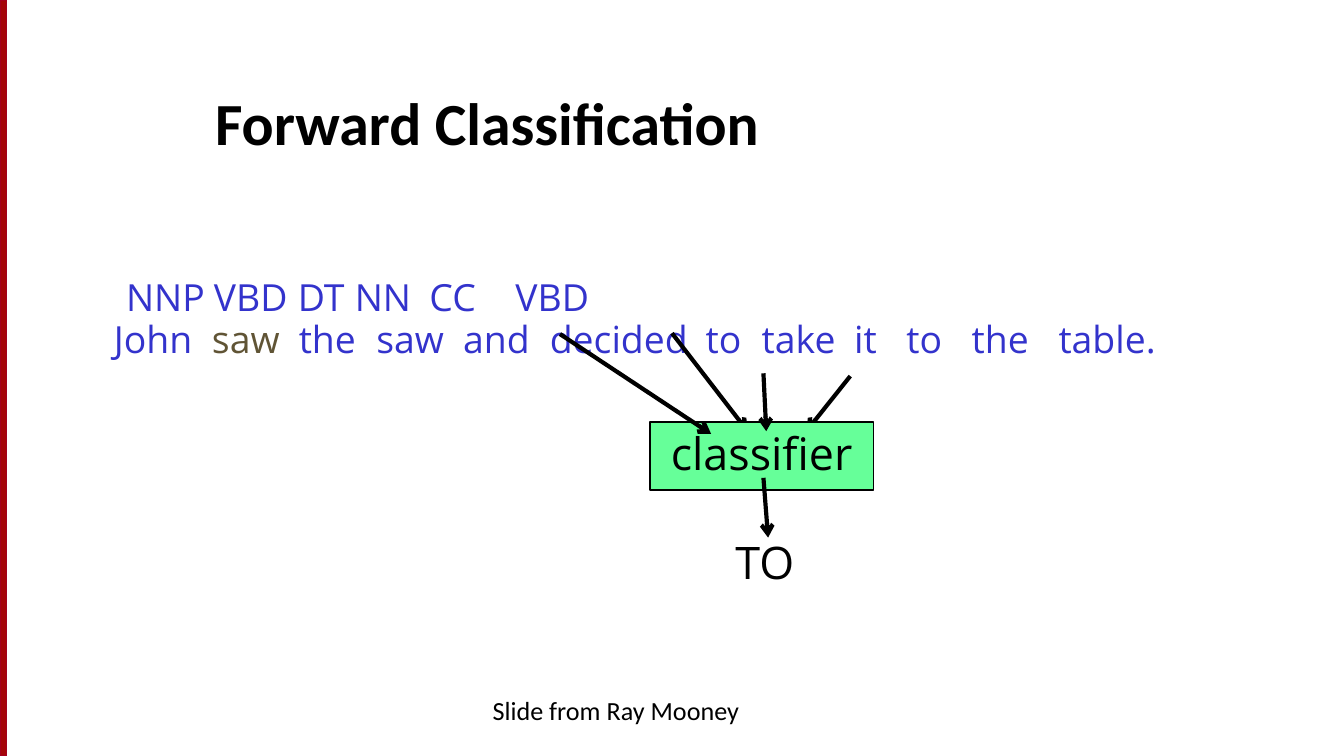
import pptx
import pptx.util
import pptx.dml.color
import pptx.enum.shapes
import pptx.enum.text
from lxml import etree

Pt = pptx.util.Pt
ALIGN = pptx.enum.text.PP_ALIGN
ANCHOR = pptx.enum.text.MSO_ANCHOR
RECT = pptx.enum.shapes.MSO_SHAPE.RECTANGLE
LINE = pptx.enum.shapes.MSO_CONNECTOR.STRAIGHT
NS = "http://schemas.openxmlformats.org/drawingml/2006/main"
COLORS = {"black": "000000", "blue": "3333CC", "brown": "605435",
          "green": "66FF99", "red": "A40508", "edge": "A4001D"}

# Each word with its offset from the left of the text, in points
TAGS = [("NNP", 6.5), ("VBD", 53.5), ("DT", 98.5), ("NN", 129),
        ("CC", 169), ("VBD", 215)]
WORDS = [("John", 0), ("saw", 52.5), ("the", 99), ("saw", 140.5),
         ("and", 187), ("decided", 233.5), ("to", 317), ("take", 347),
         ("it", 396.5), ("to", 424.5), ("the", 459.5), ("table.", 506)]


def color(name):
    """Return the named colour."""
    return pptx.dml.color.RGBColor.from_string(COLORS[name])


def write(para, text, size=20, font="Open Sans", hue="black", bold=False,
          align=ALIGN.LEFT, space=0.9):
    """Add formatted text to a paragraph."""
    para.alignment = align
    para.line_spacing = space
    run = para.add_run()
    run.text = text
    run.font.size = Pt(size)
    run.font.name = font
    run.font.bold = bold
    run.font.color.rgb = color(hue)


def text_box(slide, box):
    """Add a wrapping text box and return its frame."""
    frame = slide.shapes.add_textbox(*map(Pt, box)).text_frame
    frame.word_wrap = True
    return frame


def block(slide, box, fill, edge, width):
    """Add a filled, outlined rectangle."""
    shape = slide.shapes.add_shape(RECT, *map(Pt, box))
    shape.shadow.inherit = False
    shape.fill.solid()
    shape.fill.fore_color.rgb = color(fill)
    shape.line.color.rgb = color(edge)
    shape.line.width = Pt(width)
    return shape


def arrow(slide, box, start, end):
    """Draw an arrow between two points relative to the box."""
    left, top = box[:2]
    link = slide.shapes.add_connector(
        LINE, Pt(left + start[0]), Pt(top + start[1]),
        Pt(left + end[0]), Pt(top + end[1]))
    link.line.color.rgb = color("black")
    link.line.width = Pt(2.25)
    etree.SubElement(link.line._get_or_add_ln(), f"{{{NS}}}tailEnd",
                     type="arrow")
    etree.SubElement(link._element.spPr, f"{{{NS}}}effectLst")


def set_tabs(para, stops):
    """Give a paragraph left tab stops, in points."""
    tabs = etree.SubElement(para._p.get_or_add_pPr(), f"{{{NS}}}tabLst")
    for stop in stops:
        etree.SubElement(tabs, f"{{{NS}}}tab", pos=str(int(Pt(stop))),
                         algn="l")


def title(slide, box):
    """Place and format the title."""
    shape = slide.shapes.title
    shape.left, shape.top, shape.width, shape.height = map(Pt, box)
    frame = shape.text_frame
    frame.vertical_anchor = ANCHOR.BOTTOM
    write(frame.paragraphs[0], "Forward Classification", size=32,
          font="Calibri", bold=True)


def sentence(slide, box):
    """Set the tags above the words of the sentence."""
    frame = text_box(slide, box)
    tag_line, word_line = frame.paragraphs[0], frame.add_paragraph()
    write(tag_line, "\t", size=24, hue="blue")
    write(tag_line, "\t".join(tag for tag, _ in TAGS), hue="blue")
    set_tabs(tag_line, [stop for _, stop in TAGS])
    words = [word for word, _ in WORDS]
    write(word_line, words[0] + "\t", hue="blue")
    write(word_line, words[1], hue="brown")
    write(word_line, "\t" + "\t".join(words[2:]), hue="blue")
    set_tabs(word_line, [stop for _, stop in WORDS[1:]])


def model(slide, box):
    """Draw the classifier with its inputs and its result."""
    left, top, width, height = box
    arrow(slide, box, (12, -47.5), (52.5, 5))
    arrow(slide, box, (107.5, -24.5), (84, 5))
    frame = block(slide, box, "green", "black", 1).text_frame
    frame.vertical_anchor = ANCHOR.MIDDLE
    write(frame.paragraphs[0], "classifier", size=24, align=ALIGN.CENTER)
    arrow(slide, box, (61, -26), (62.5, 5))
    arrow(slide, box, (61, 30), (63.5, 62))
    out = text_box(slide, (left + 34, top + 60, 55.5, height))
    write(out.paragraphs[0], "TO", size=24, align=ALIGN.CENTER)
    arrow(slide, box, (-48, -47), (33, 6.5))


def credit(slide, box):
    """Write the credit line."""
    write(text_box(slide, box).paragraphs[0], "Slide from Ray Mooney",
          size=14, font="Calibri", align=ALIGN.CENTER, space=1)


def main():
    """Build and save the slide."""
    deck = pptx.Presentation()
    deck.slide_width, deck.slide_height = Pt(720), Pt(405)
    slide = deck.slides.add_slide(deck.slide_layouts[5])
    block(slide, (0, 0, 3.5, 405), "red", "edge", 0.75)
    title(slide, (108, 30, 588, 58.5))
    credit(slide, (216, 368.5, 228, 27.5))
    sentence(slide, (54, 142.5, 620, 60.5))
    model(slide, (348, 226, 120, 36.5))
    deck.save("out.pptx")


main()
